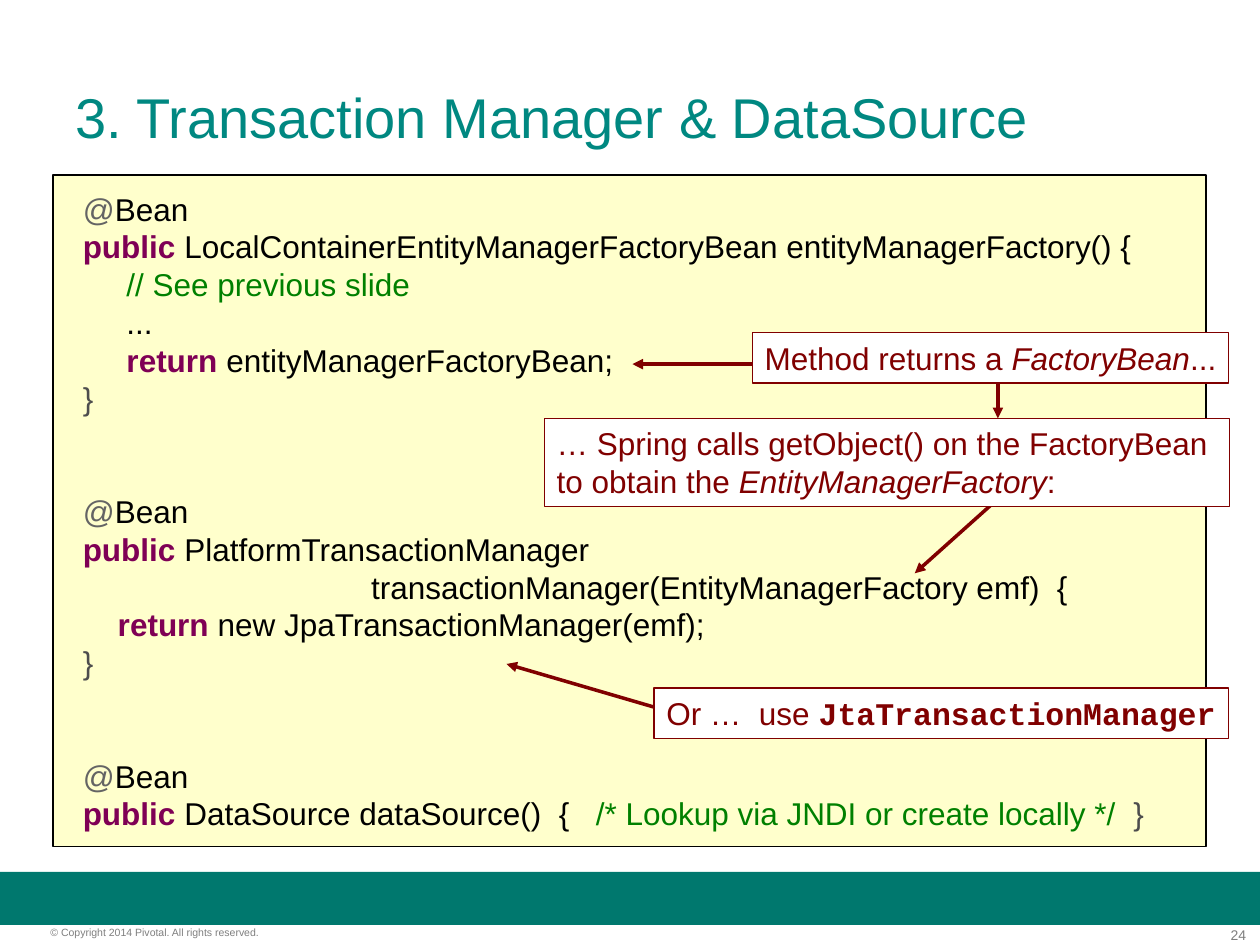
from lxml.etree import SubElement
from pptx import Presentation
from pptx.dml.color import RGBColor
from pptx.enum.shapes import MSO_CONNECTOR, MSO_SHAPE
from pptx.enum.text import MSO_ANCHOR, PP_ALIGN
from pptx.oxml.ns import qn
from pptx.util import Inches, Pt

COLORS = {
    "band": "00786E", "title": "008881", "footer": "7F7F7F",
    "paper": "FFFFCC", "white": "FFFFFF", "black": "000000",
    "callout": "800000", "annotation": "646464", "keyword": "7F0055",
    "comment": "008000", "brace": "4D4D4D",
}
STYLES = {
    "plain": {},
    "italic": {"italic": True},
    "mono": {"name": "Courier New", "bold": True},
    "keyword": {"bold": True},
}
LINE = 21.6

BEAN = [("  @", "annotation"), ("Bean", "black")]
CLOSE = [("  }", "brace")]
METHODS = [
    [
        BEAN,
        [("  public", "keyword"),
         (" LocalContainerEntityManagerFactoryBean entityManagerFactory() {", "black")],
        [("       // See previous slide", "comment")],
        [("       ...", "black")],
        [("       return", "keyword"), (" entityManagerFactoryBean;", "black")],
        CLOSE,
    ],
    [
        BEAN,
        [("  public", "keyword"), (" PlatformTransactionManager", "black")],
        [("                                   transactionManager(EntityManagerFactory emf)  {", "black")],
        [("      return", "keyword"), (" new JpaTransactionManager(emf);", "black")],
        CLOSE,
    ],
    [
        BEAN,
        [("  public", "keyword"), (" DataSource dataSource()  {   ", "black"),
         ("/* Lookup via JNDI or create locally */  ", "comment"), ("}", "brace")],
    ],
]
CALLOUTS = [
    ((5.97, 2.64, 3.78, 0.4),
     [[("Method returns a ", "plain"), ("FactoryBean", "italic"), ("...", "plain")]]),
    ((4.32, 3.32, 5.44, 0.7),
     [[("… Spring calls getObject() on the FactoryBean", "plain")],
      [("to obtain the ", "plain"), ("EntityManagerFactory", "italic"), (":", "plain")]]),
    ((5.19, 5.46, 4.56, 0.4),
     [[("Or …  use ", "plain"), ("JtaTransactionManager", "mono")]]),
]
ARROWS = [
    (6, 2.89, 5.02, 2.89),
    (7.93, 3.95, 7.26, 4.55),
    (5.8, 5.79, 4.02, 5.27),
    (7.92, 3.04, 7.92, 3.32),
]
LABELS = [
    ("24", (9.31, 7.35, 0.58, 0.13), 8, "footer", PP_ALIGN.RIGHT, 0, MSO_ANCHOR.TOP),
    ("© Copyright 2014 Pivotal. All rights reserved.", (0.4, 7.35, 2.49, 0.1),
     6, "footer", PP_ALIGN.LEFT, 0, MSO_ANCHOR.TOP),
    ("3. Transaction Manager & DataSource", (0.5, 0.3, 9, 1.25),
     32, "title", PP_ALIGN.LEFT, 0.1, MSO_ANCHOR.MIDDLE),
]


def rgb(name):
    return RGBColor.from_string(COLORS[name])


def add_run(p, text, size, color, style="plain"):
    r = p.add_run()
    r.text = text
    fmt = {"name": "Arial", "size": Pt(size), **STYLES.get(style, {})}
    for key, value in fmt.items():
        setattr(r.font, key, value)
    r.font.color.rgb = rgb(color)


def add_box(s, at, fill, line=None, width=0.75):
    sp = s.shapes.add_shape(MSO_SHAPE.RECTANGLE, *map(Inches, at))
    sp.shadow.inherit = False
    sp.fill.solid()
    sp.fill.fore_color.rgb = rgb(fill)
    if line:
        sp.line.color.rgb = rgb(line)
        sp.line.width = Pt(width)
    else:
        sp.line.fill.background()
    return sp


def add_label(s, text, at, size, color, align, inset, anchor):
    tf = s.shapes.add_textbox(*map(Inches, at)).text_frame
    tf.word_wrap = True
    tf.vertical_anchor = anchor
    tf.margin_left = tf.margin_right = Inches(inset)
    tf.margin_top = tf.margin_bottom = Inches(inset / 2)
    p = tf.paragraphs[0]
    p.alignment = align
    add_run(p, text, size, color)


def next_line(tf, first):
    p = tf.paragraphs[0] if first else tf.add_paragraph()
    p.alignment = PP_ALIGN.LEFT
    p.line_spacing = Pt(LINE)
    return p


def add_code(s):
    tf = add_box(s, (0.42, 1.39, 9.15, 5.33), "paper", "black", 1).text_frame
    tf.word_wrap = True
    tf.vertical_anchor = MSO_ANCHOR.MIDDLE
    for m, method in enumerate(METHODS):
        for n, line in enumerate(method):
            p = next_line(tf, m == n == 0)
            if m and n == 0:
                p.space_before = Pt(2 * LINE)
            for text, kind in line:
                add_run(p, text, 18, kind, kind)


def add_arrow(s, ends):
    cn = s.shapes.add_connector(MSO_CONNECTOR.STRAIGHT, *map(Inches, ends))
    cn.line.color.rgb = rgb("callout")
    cn.line.width = Pt(0)
    SubElement(cn.line._get_or_add_ln(), qn("a:tailEnd"), type="triangle")
    SubElement(cn._element.spPr, qn("a:effectLst"))


def add_callout(s, at, lines):
    tf = add_box(s, at, "white", "callout").text_frame
    tf.word_wrap = False
    tf.vertical_anchor = MSO_ANCHOR.TOP
    for n, line in enumerate(lines):
        p = next_line(tf, n == 0)
        for text, style in line:
            add_run(p, text, 18, "callout", style)


def main():
    prs = Presentation()
    prs.slide_width, prs.slide_height = Inches(10), Inches(7.5)
    s = prs.slides.add_slide(prs.slide_layouts[6])
    add_box(s, (0, 6.92, 10, 0.42), "band")
    for label in LABELS:
        add_label(s, *label)
    add_code(s)
    for ends in ARROWS:
        add_arrow(s, ends)
    for at, lines in CALLOUTS:
        add_callout(s, at, lines)
    prs.save("out.pptx")


if __name__ == "__main__":
    main()
